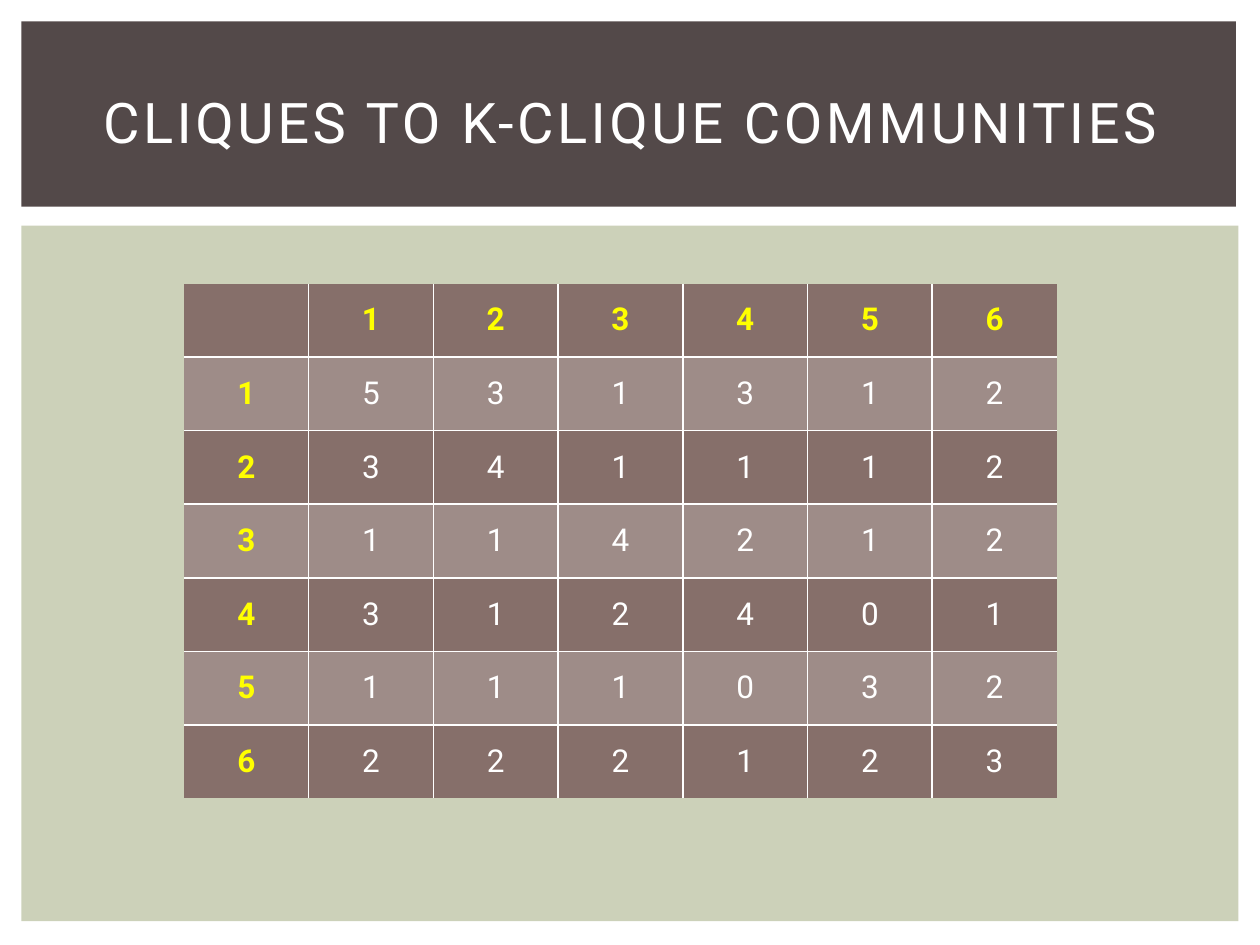
from dataclasses import dataclass

from lxml.etree import SubElement
from pptx import Presentation
from pptx.dml.color import RGBColor
from pptx.enum.shapes import MSO_SHAPE
from pptx.enum.text import MSO_ANCHOR, PP_ALIGN
from pptx.oxml.ns import qn
from pptx.slide import Slide
from pptx.table import _Cell
from pptx.text.text import TextFrame
from pptx.util import Inches, Pt

COLORS = {
    "white": "FFFFFF",
    "title_band": "534949",
    "body_panel": "CCD1B9",
    "dark_row": "866F6A",
    "light_row": "9E8C88",
    "node_label": "FFFF00",
}
FONT = "Roboto"
SLIDE_WIDTH, SLIDE_HEIGHT = Inches(10), Inches(7.5)

# Number of nodes shared by each pair of cliques; the diagonal is clique size
CLIQUE_OVERLAP = [
    [5, 3, 1, 3, 1, 2],
    [3, 4, 1, 1, 1, 2],
    [1, 1, 4, 2, 1, 2],
    [3, 1, 2, 4, 0, 1],
    [1, 1, 1, 0, 3, 2],
    [2, 2, 2, 1, 2, 3],
]


@dataclass(frozen=True)
class Area:
    """A rectangle in percent of the slide's width and height."""
    left: float
    top: float
    width: float
    height: float

    def box(self) -> tuple[int, int, int, int]:
        return (
            int(SLIDE_WIDTH * self.left / 100),
            int(SLIDE_HEIGHT * self.top / 100),
            int(SLIDE_WIDTH * self.width / 100),
            int(SLIDE_HEIGHT * self.height / 100),
        )


@dataclass(frozen=True)
class Panel:
    area: Area
    color: str


PANELS = [
    Panel(Area(1.7, 23.87, 96.6, 73.6), "body_panel"),
    Panel(Area(1.7, 2.27, 96.4, 19.6), "title_band"),
]
TITLE_AREA = Area(4.2, 5.2, 91.7, 15.33)
TABLE_AREA = Area(14.6, 30, 69.3, 54.53)


def rgb(name: str) -> RGBColor:
    return RGBColor.from_string(COLORS[name])


def write_text(frame: TextFrame, text: str, *, size: float, color: str = "white",
               bold: bool = False, spacing: float = 0) -> None:
    paragraph = frame.paragraphs[0]
    paragraph.alignment = PP_ALIGN.CENTER
    run = paragraph.add_run()
    run.text = text
    font = run.font
    font.name, font.size, font.bold = FONT, Pt(size), bold
    font.color.rgb = rgb(color)
    if spacing:
        run._r.get_or_add_rPr().set("spc", str(int(spacing * 100)))


def draw_panel(slide: Slide, panel: Panel) -> None:
    shape = slide.shapes.add_shape(MSO_SHAPE.RECTANGLE, *panel.area.box())
    shape.shadow.inherit = False
    shape.fill.solid()
    shape.fill.fore_color.rgb = rgb(panel.color)
    shape.line.fill.background()


def draw_title(slide: Slide, text: str) -> None:
    frame = slide.shapes.add_textbox(*TITLE_AREA.box()).text_frame
    frame.word_wrap = True
    frame.vertical_anchor = MSO_ANCHOR.MIDDLE
    write_text(frame, text, size=32, spacing=2)


def set_borders(cell: _Cell, visible: dict[str, bool]) -> None:
    properties = cell._tc.get_or_add_tcPr()
    for side, shown in visible.items():
        line = SubElement(properties, qn(f"a:ln{side}"), w=str(Pt(1)))
        if shown:
            fill = SubElement(line, qn("a:solidFill"))
            SubElement(fill, qn("a:srgbClr"), val=COLORS["white"])
        else:
            SubElement(line, qn("a:noFill"))


def draw_overlap_table(slide: Slide, matrix: list[list[int]]) -> None:
    """Draw the matrix with numbered headings and lines only between cells."""
    labels = list(range(1, len(matrix) + 1))
    rows = [["", *labels]] + [[label, *values] for label, values in zip(labels, matrix)]
    count = len(rows)
    left, top, width, height = TABLE_AREA.box()
    table = slide.shapes.add_table(count, count, left, top, width, height).table
    table.first_row = table.horz_banding = False
    for column in table.columns:
        column.width = width // count
    for row in table.rows:
        row.height = height // count

    for i, values in enumerate(rows):
        for j, value in enumerate(values):
            cell = table.cell(i, j)
            cell.vertical_anchor = MSO_ANCHOR.MIDDLE
            set_borders(cell, {"L": j > 0, "R": j < count - 1,
                               "T": i > 0, "B": i < count - 1})
            cell.fill.solid()
            cell.fill.fore_color.rgb = rgb("light_row" if i % 2 else "dark_row")
            heading = i == 0 or j == 0
            if value != "":
                write_text(cell.text_frame, str(value), size=18, bold=heading,
                           color="node_label" if heading else "white")


def main() -> None:
    presentation = Presentation()
    presentation.slide_width, presentation.slide_height = SLIDE_WIDTH, SLIDE_HEIGHT
    slide = presentation.slides.add_slide(presentation.slide_layouts[6])
    for panel in PANELS:
        draw_panel(slide, panel)
    draw_overlap_table(slide, CLIQUE_OVERLAP)
    draw_title(slide, "CLIQUES TO K-CLIQUE COMMUNITIES")
    presentation.save("out.pptx")


if __name__ == "__main__":
    main()
